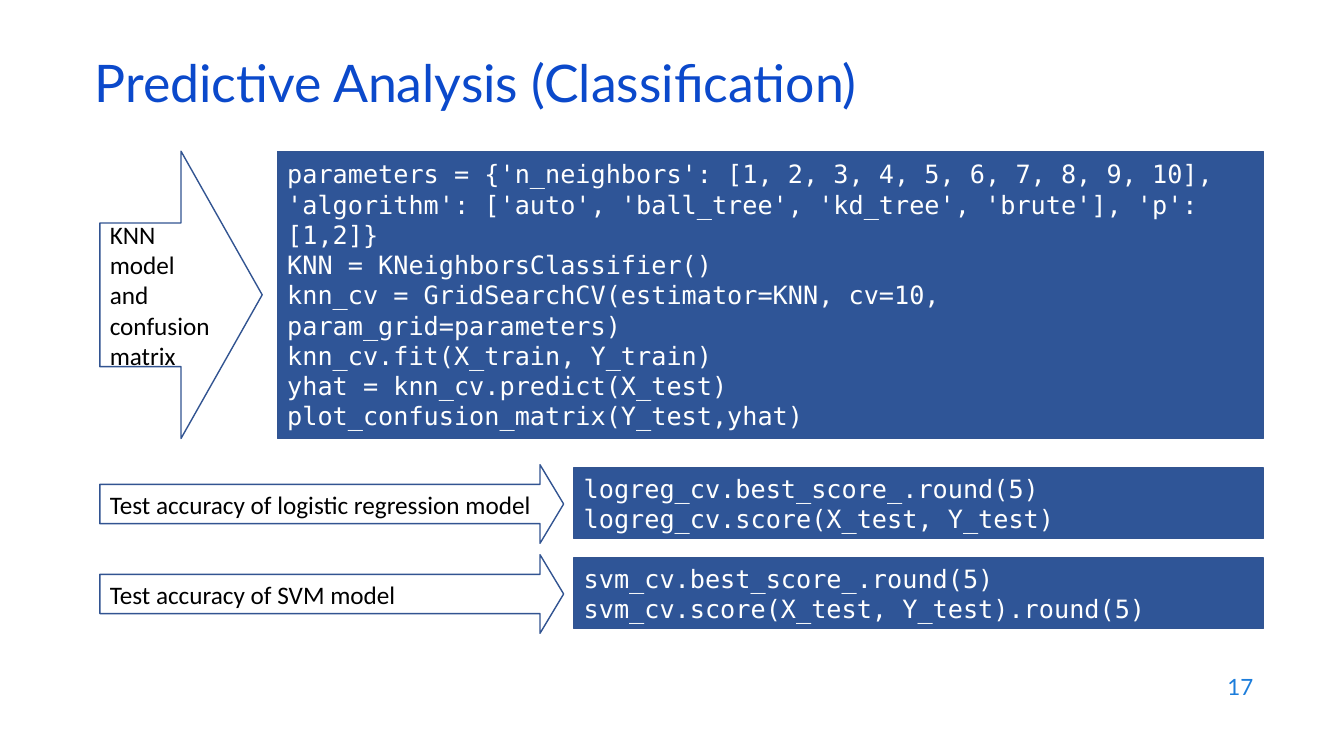
from pptx import Presentation
from pptx.dml.color import RGBColor
from pptx.enum.shapes import MSO_SHAPE
from pptx.enum.text import MSO_ANCHOR, MSO_AUTO_SIZE, PP_ALIGN
from pptx.util import Inches, Pt

KNN = [
    "parameters = {'n_neighbors': [1, 2, 3, 4, 5, 6, 7, 8, 9, 10],",
    "'algorithm': ['auto', 'ball_tree', 'kd_tree', 'brute'], 'p': [1,2]}",
    "KNN = KNeighborsClassifier()",
    "knn_cv = GridSearchCV(estimator=KNN, cv=10, param_grid=parameters)",
    "knn_cv.fit(X_train, Y_train)",
    "yhat = knn_cv.predict(X_test)",
    "plot_confusion_matrix(Y_test,yhat)",
]
TESTS = [
    ("Test accuracy of logistic regression model",
     ["logreg_cv.best_score_.round(5)", "logreg_cv.score(X_test, Y_test)"]),
    ("Test accuracy of SVM model",
     ["svm_cv.best_score_.round(5)", "svm_cv.score(X_test, Y_test).round(5)"]),
]
LEFT, RIGHT = 7.43, 94


def color(code):
    return RGBColor.from_string(code)


def apply(item, values):
    for name, value in values.items():
        setattr(item, name, value)


class Deck:
    """Holds the style and the current slide; lengths are percent of the slide."""

    fonts = {
        "title": ({"name": "Lato", "size": Pt(37)}, "0B49CB"),
        "page": ({"name": "Lato", "size": Pt(16)}, "1C7DDB"),
        "code": ({"name": "DejaVu Sans Mono", "size": Pt(18)}, "FFFFFF"),
        "label": ({"name": "Calibri", "size": Pt(18)}, "000000"),
    }
    frame = {"word_wrap": True, "auto_size": MSO_AUTO_SIZE.NONE,
             "vertical_anchor": MSO_ANCHOR.MIDDLE}
    tight = {"margin_top": 0, "margin_bottom": 0}

    def __init__(self):
        self.show = Presentation()
        apply(self.show, {"slide_width": Inches(13.33), "slide_height": Inches(7.5)})
        self.slide = self.show.slides.add_slide(self.show.slide_layouts[5])

    def place(self, x, y, wide, high):
        across, down = self.show.slide_width, self.show.slide_height
        return [int(part * size / 100) for part, size in
                ((x, across), (y, down), (wide, across), (high, down))]

    def label(self, shape, lines, style, para, frame):
        text = shape.text_frame
        text.text = "\n".join(lines)
        apply(text, {**self.frame, **frame})
        values, ink = self.fonts[style]
        for line in text.paragraphs:
            apply(line, para)
            apply(line.font, values)
            line.font.color.rgb = color(ink)

    def title(self, words, *box):
        shape = self.slide.shapes.title
        apply(shape, dict(zip(("left", "top", "width", "height"), self.place(*box))))
        para = {"alignment": PP_ALIGN.LEFT, "line_spacing": 0.7}
        self.label(shape, [words], "title", para, {})

    def page(self, words, *box):
        shape = self.slide.shapes.add_textbox(*self.place(*box))
        self.label(shape, [words], "page", {"alignment": PP_ALIGN.RIGHT}, {})

    def shape(self, kind, lines, style, box, frame):
        shape = self.slide.shapes.add_shape(kind, *self.place(*box))
        shape.shadow.inherit = False
        shape.line.color.rgb = color("325491")
        shape.line.width = Pt(1)
        self.label(shape, lines, style, {"alignment": PP_ALIGN.LEFT}, frame)
        return shape

    def code(self, lines, *box):
        shape = self.shape(MSO_SHAPE.RECTANGLE, lines, "code", box, self.tight)
        shape.fill.solid()
        shape.fill.fore_color.rgb = color("2F5597")

    def arrow(self, words, box, head=0.5, frame=None):
        shape = self.shape(MSO_SHAPE.RIGHT_ARROW, [words], "label", box, frame or {})
        shape.fill.background()
        shape.adjustments[1] = head


def main():
    deck = Deck()
    deck.page("17", 71.5, 87.87, 22.5, 5.87)
    deck.title("Predictive Analysis (Classification)", 6.3, 7.87, 86.27, 8)
    deck.code(KNN, 20.63, 20, RIGHT - 20.63, 38)
    deck.arrow("KNN model and confusion matrix", (LEFT, 20, 12.08, 38))
    for row, (label, lines) in enumerate(TESTS):
        top = 61.47 + row * 11.9
        deck.code(lines, 42.69, top + 0.45, RIGHT - 42.69, 9.33)
        deck.arrow(label, (LEFT, top, 34.51, 10.4), 0.3, deck.tight)
    deck.show.save("out.pptx")


if __name__ == "__main__":
    main()
